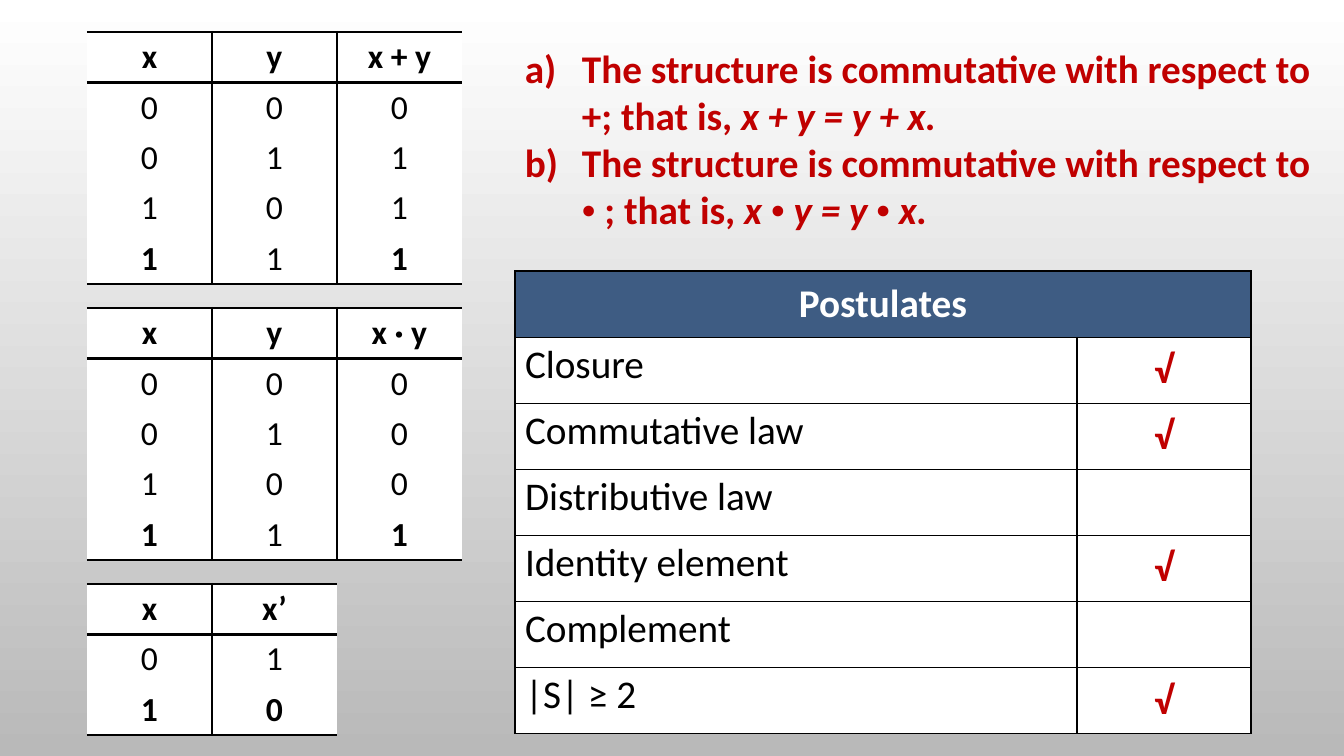
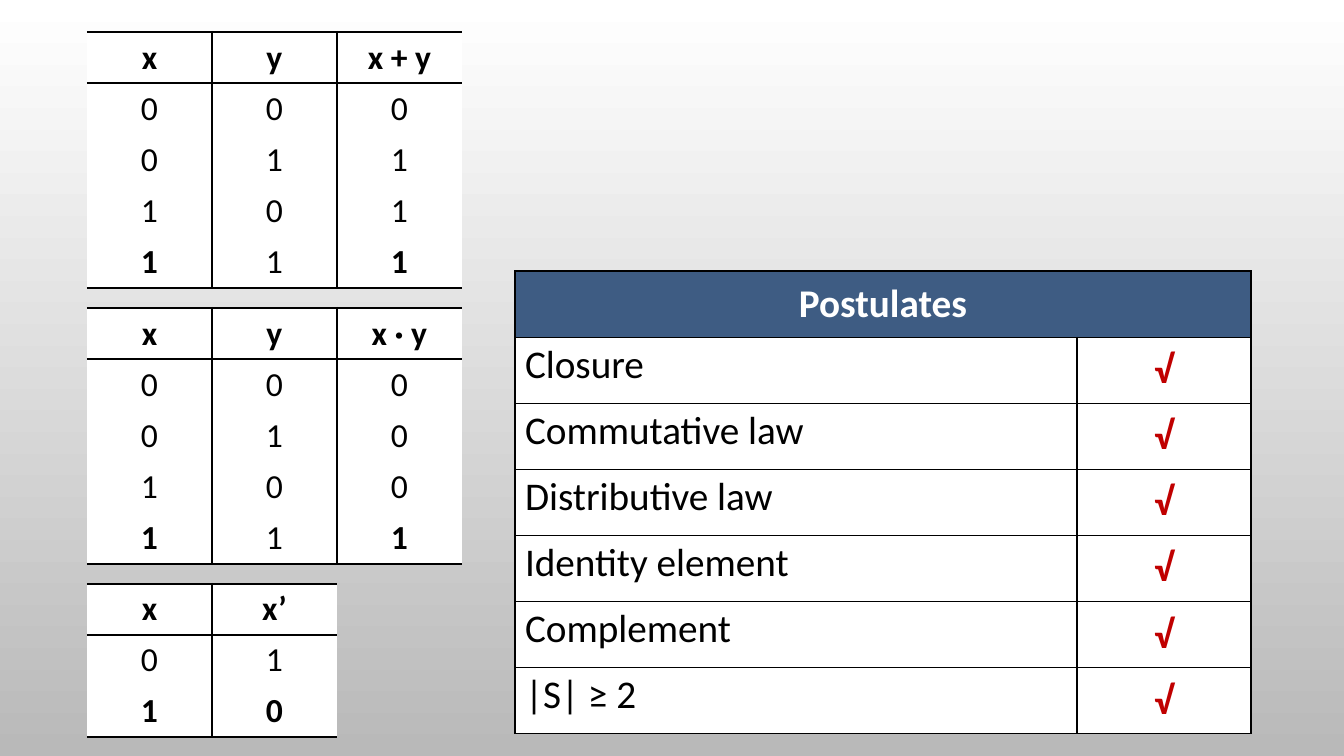
from lxml.etree import SubElement
from pptx import Presentation
from pptx.dml.color import RGBColor
from pptx.enum.text import MSO_ANCHOR as Anchor, MSO_AUTO_SIZE as AutoSize, PP_ALIGN as Align
from pptx.oxml.ns import qn
from pptx.util import Emu, Pt

BLACK, WHITE, RED, NAVY, GRAY = "000000", "FFFFFF", "C00000", "3E5C83", "B9B9B9"
BODY_FONT, DOT_FONT = "Calibri", "Times New Roman"
THIN, THICK = 1, 2

SUM_ROWS = ["x|y|x + y", "0|0|0", "0|1|1", "1|0|1", "1|1|1"]
PRODUCT_ROWS = ["x|y|x · y", "0|0|0", "0|1|0", "1|0|0", "1|1|1"]
COMPLEMENT_ROWS = ["x|x’", "0|1", "1|0"]
POSTULATES = ["Closure", "Commutative law", "Distributive law",
              "Identity element", "Complement", "|S| ≥ 2"]
# Each statement is a list of (text, italic); dots get their own font
STATEMENTS = [
    [("The structure is commutative with respect to +; that is, ", False),
     ("x + y = y + x.", True)],
    [("The structure is commutative with respect to ", False), ("•", False),
     (" ; that is, ", False), ("x ", True), ("•", False), (" y = y ", True),
     ("•", False), (" x.", True)],
]


def px(length):
    return Emu(round(length * 914400 / 100.8))


def rgb(code):
    return RGBColor.from_string(code)


def add_span(para, text, size=28, color=BLACK, bold=False, italic=False, font=BODY_FONT):
    span = para.add_run()
    span.text = text
    span.font.name, span.font.size = font, Pt(size)
    span.font.bold, span.font.italic = bold, italic
    span.font.color.rgb = rgb(color)


def set_borders(cell, **widths):
    """Draw the named edges in black and clear the others."""
    props = cell._tc.get_or_add_tcPr()
    for edge in ("left", "right", "top", "bottom"):
        width = widths.get(edge, 0)
        line = SubElement(props, qn("a:ln" + edge[0].upper()), w=str(Pt(width)))
        if width:
            fill = SubElement(line, qn("a:solidFill"))
            SubElement(fill, qn("a:srgbClr"), val=BLACK)
        else:
            SubElement(line, qn("a:noFill"))


def fill_cell(cell, text, borders, fill=WHITE, align=Align.CENTER,
              anchor=Anchor.MIDDLE, **style):
    set_borders(cell, **borders)
    cell.fill.solid()
    cell.fill.fore_color.rgb = rgb(fill)
    cell.vertical_anchor = anchor
    cell.margin_top = cell.margin_bottom = px(4)
    para = cell.text_frame.paragraphs[0]
    para.alignment = align
    if text:
        add_span(para, text, **style)


def add_grid(page, box, row_count, column_widths):
    """Add an unstyled table whose rows share the height of the box."""
    left, top, width, height = box
    table = page.shapes.add_table(row_count, len(column_widths), px(left), px(top),
                                  px(width), px(height)).table
    table.first_row = table.horz_banding = False
    for column, column_width in zip(table.columns, column_widths):
        column.width = px(column_width)
    for row in table.rows:
        row.height = px(height / row_count)
    return table


def add_truth_table(page, left, top, height, lines):
    rows = [line.split("|") for line in lines]
    last_row, last_column = len(rows) - 1, len(rows[0]) - 1
    widths = [125] * len(rows[0])
    table = add_grid(page, (left, top, sum(widths), height), len(rows), widths)
    for r, row in enumerate(rows):
        for c, text in enumerate(row):
            borders = {
                "left": THIN if c else 0,
                "right": THIN if c < last_column else 0,
                "top": THICK if r < 2 else 0,
                "bottom": THICK if r in (0, last_row) else 0,
            }
            bold = r == 0 or (r == last_row and c in (0, last_column))
            fill_cell(table.cell(r, c), text, borders, size=24, bold=bold)


def add_postulates(page, box, met):
    table = add_grid(page, box, len(POSTULATES) + 1, [box[2] - 174, 174])
    borders = dict.fromkeys(("left", "right", "top", "bottom"), THIN)

    # Header across both columns
    table.cell(0, 0).merge(table.cell(0, 1))
    for c, title in enumerate(("Postulates", "")):
        fill_cell(table.cell(0, c), title, borders, fill=NAVY, color=WHITE, bold=True)

    # One row for each postulate, ticked when met
    for r, name in enumerate(POSTULATES, 1):
        fill_cell(table.cell(r, 0), name, borders, align=Align.LEFT, anchor=Anchor.TOP)
        fill_cell(table.cell(r, 1), "√" if name in met else "", borders,
                  color=RED, bold=True)


def add_statements(page, box):
    frame = page.shapes.add_textbox(*map(px, box)).text_frame
    frame.word_wrap = True
    frame.auto_size = AutoSize.SHAPE_TO_FIT_TEXT
    for index, pieces in enumerate(STATEMENTS):
        para = frame.add_paragraph() if index else frame.paragraphs[0]
        props = para._p.get_or_add_pPr()
        props.set("marL", str(px(57)))
        props.set("indent", str(-px(57)))
        SubElement(props, qn("a:buFont"), typeface="+mj-lt")
        SubElement(props, qn("a:buAutoNum"), type="alphaLcParenR")
        for text, italic in pieces:
            add_span(para, text, color=RED, bold=True, italic=italic,
                     font=DOT_FONT if text == "•" else BODY_FONT)


def add_page(deck, met, tall, short):
    """Add a slide with truth tables of the given heights and the postulates."""
    page = deck.slides.add_slide(deck.slide_layouts[6])
    add_postulates(page, (515, 271, 736, 463), met)
    tables = [(SUM_ROWS, tall), (PRODUCT_ROWS, tall), (COMPLEMENT_ROWS, short)]
    for index, (lines, height) in enumerate(tables):
        add_truth_table(page, 87, 32 + 276 * index, height, lines)
    return page


def set_background(master):
    fill = master.background.fill
    fill.gradient()
    fill.gradient_angle = 270
    for stop, color in zip(fill.gradient_stops, (WHITE, GRAY)):
        stop.color.rgb = rgb(color)


def main():
    deck = Presentation()
    deck.slide_width, deck.slide_height = px(1344), px(756)
    set_background(deck.slide_master)

    # Commutative law shown
    unmet = ("Distributive law", "Complement")
    page = add_page(deck, [name for name in POSTULATES if name not in unmet], 252, 151)
    add_statements(page, (515, 39, 807, 201))

    # All postulates met
    add_page(deck, POSTULATES, 256, 153)
    deck.save("out.pptx")


if __name__ == "__main__":
    main()
